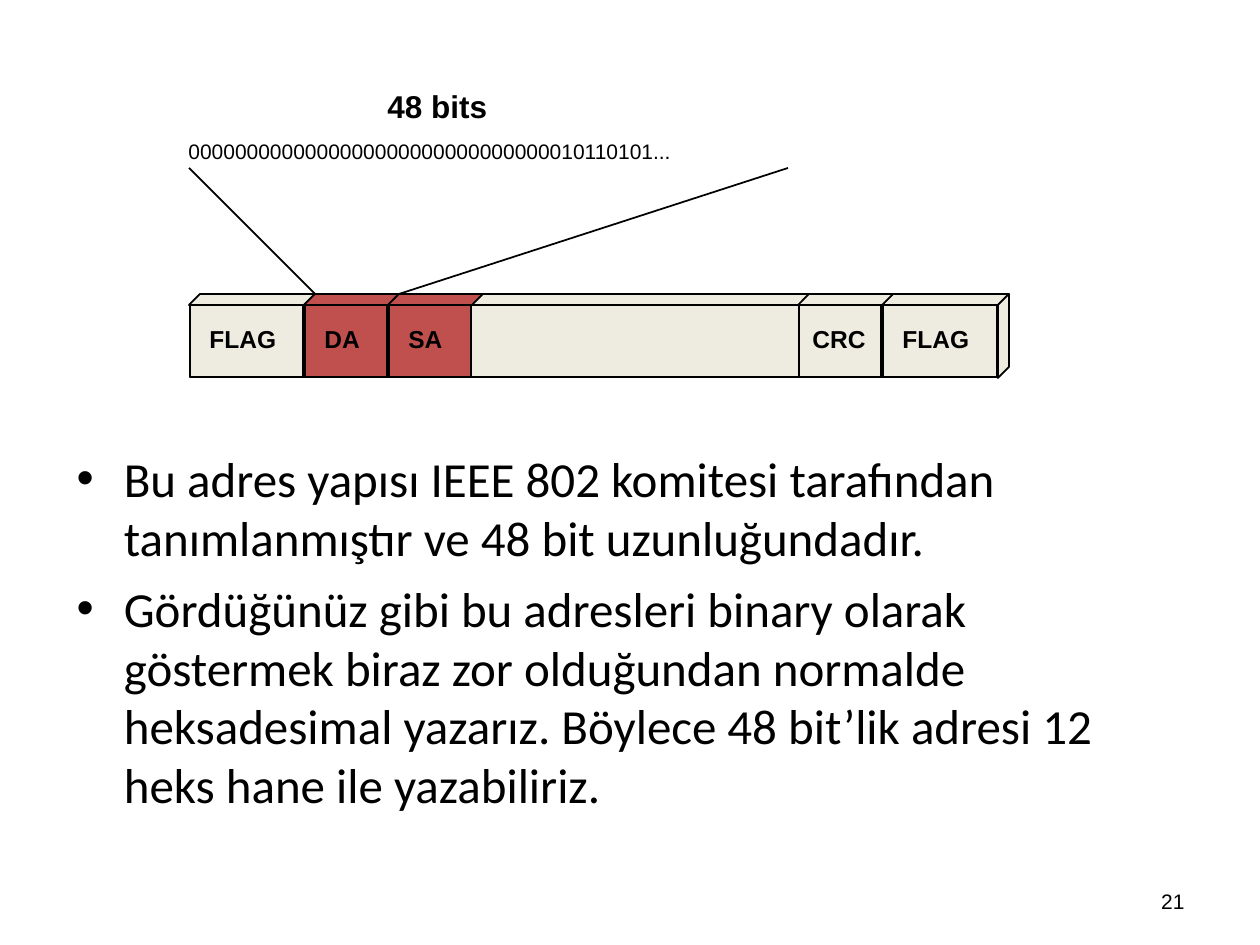
from lxml import etree
from pptx import Presentation
from pptx.dml.color import RGBColor
from pptx.enum.shapes import MSO_CONNECTOR, MSO_SHAPE
from pptx.enum.text import MSO_ANCHOR, MSO_AUTO_SIZE, PP_ALIGN
from pptx.oxml.ns import qn
from pptx.util import Emu, Pt

STRAIGHT = MSO_CONNECTOR.STRAIGHT
RECTANGLE = MSO_SHAPE.RECTANGLE
MIDDLE = MSO_ANCHOR.MIDDLE
NO_FIT, GROW = MSO_AUTO_SIZE.NONE, MSO_AUTO_SIZE.SHAPE_TO_FIT_TEXT
LEFT, RIGHT = PP_ALIGN.LEFT, PP_ALIGN.RIGHT

BLACK = RGBColor(0x00, 0x00, 0x00)
CREAM = RGBColor(0xEE, 0xEC, 0xE1)
RED = RGBColor(0xC0, 0x50, 0x4D)

PX = 914400 / 126
LID_TOP, FRONT_TOP, FRONT_BOTTOM = 294, 305, 378
DEPTH = FRONT_TOP - LID_TOP
FRAME_LEFT, FRAME_RIGHT = 189, 998

deck = Presentation()
deck.slide_width, deck.slide_height = Emu(round(1260 * PX)), Emu(round(945 * PX))
page = deck.slides.add_slide(deck.slide_layouts[1])
title = page.shapes.title
title.element.getparent().remove(title.element)


def add_label(words, frame, size, bold=False, align=LEFT):
    box = page.shapes.add_textbox(*[Emu(round(n * PX)) for n in frame])
    box.text_frame.word_wrap = align == RIGHT
    box.text_frame.auto_size = NO_FIT if align == RIGHT else GROW
    para = box.text_frame.paragraphs[0]
    para.alignment = align
    span = para.add_run()
    span.text = words
    span.font.name, span.font.size, span.font.bold = "Arial", Pt(size), bold
    span.font.color.rgb = BLACK
    return box


def paint(shape, color):
    shape.shadow.inherit = False
    shape.fill.solid()
    shape.fill.fore_color.rgb = color
    shape.line.color.rgb = BLACK
    shape.line.width = Pt(1)


body = page.placeholders[1]
body.left, body.top, body.width, body.height = [
    Emu(round(n * PX)) for n in (64, 442, 1132, 410)]
body.text_frame.auto_size = NO_FIT
bullets = [
    "Bu adres yapısı IEEE 802 komitesi tarafından tanımlanmıştır ve 48 bit uzunluğundadır.",
    "Gördüğünüz gibi bu adresleri binary olarak göstermek biraz zor olduğundan normalde "
    "heksadesimal yazarız. Böylece 48 bit’lik adresi 12 heks hane ile yazabiliriz.",
]
for index, words in enumerate(bullets):
    para = body.text_frame.paragraphs[0] if index == 0 else body.text_frame.add_paragraph()
    para.space_before = Pt(7 if index else 0)
    span = para.add_run()
    span.text = words
    span.font.name, span.font.size = "Calibri", Pt(28)
    span.font.color.rgb = BLACK

number = add_label("21", (903, 876, 294, 50), 12, align=RIGHT)
number.text_frame.vertical_anchor = MIDDLE

fields = [
    ("", FRAME_LEFT, FRAME_RIGHT, CREAM, 0, 0),
    ("FLAG", 189, 304, CREAM, 8, 94),
    ("FLAG", 882, 998, CREAM, 8, 94),
    ("DA", 304, 388, RED, 8, 63),
    ("SA", 388, 472, RED, 8, 62),
    ("CRC", 798, 882, CREAM, 2, 81),
]
for words, left, right, color, inset, width in fields:
    front = page.shapes.add_shape(RECTANGLE, *[
        Emu(round(n * PX)) for n in (left + 1, FRONT_TOP, right - left - 2, 72)])
    paint(front, color)
    if words:
        add_label(words, (left + inset, 318, width, 42), 14, bold=True)

lids = [(189, 304, CREAM), (304, 388, RED), (388, 472, RED),
        (472, 882, CREAM), (882, 998, CREAM), (798, 882, CREAM)]
faces = [([(left, FRONT_TOP), (left + DEPTH, LID_TOP),
           (right + DEPTH, LID_TOP), (right, FRONT_TOP)], color)
         for left, right, color in lids]
faces.append(([(FRAME_RIGHT, FRONT_BOTTOM), (FRAME_RIGHT, FRONT_TOP),
               (FRAME_RIGHT + DEPTH, LID_TOP),
               (FRAME_RIGHT + DEPTH, FRONT_BOTTOM - DEPTH)], CREAM))
for points, color in faces:
    outline = page.shapes.build_freeform(*points[0], scale=PX)
    outline.add_line_segments(points[1:], close=True)
    paint(outline.convert_to_shape(), color)

add_label("0000000000000000000000000000000010110101...", (176, 132, 511, 38), 12)
for start, end in ((315, 189), (399, 788)):
    ray = page.shapes.add_connector(STRAIGHT, *[
        Emu(round(n * PX)) for n in (start, LID_TOP, end, 168)])
    ray.line.color.rgb = BLACK
    ray.line.width = Pt(1)
    etree.SubElement(ray.element.spPr, qn("a:effectLst"))
add_label("48 bits", (375, 81, 126, 50), 18, bold=True)

deck.save("out.pptx")
